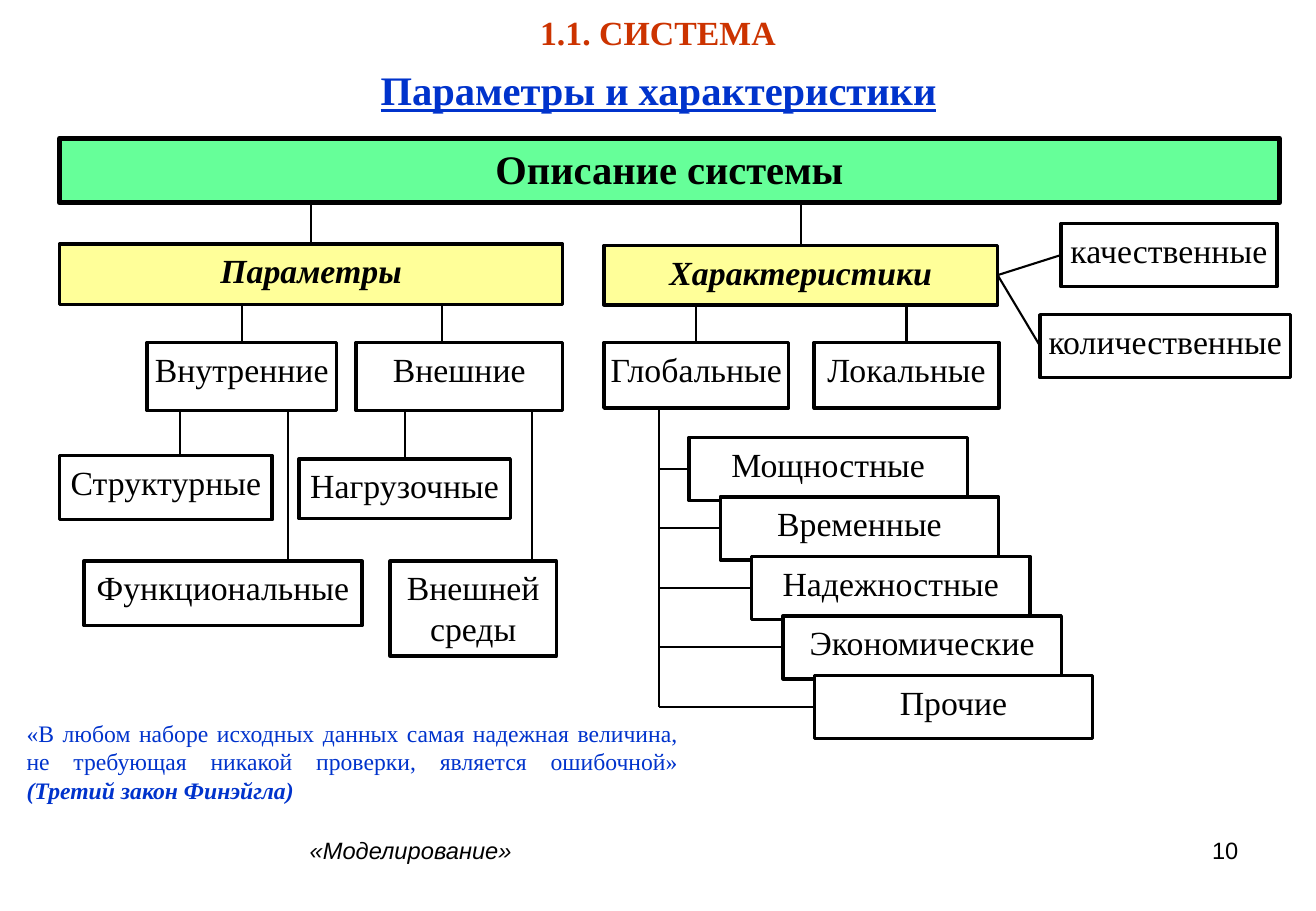
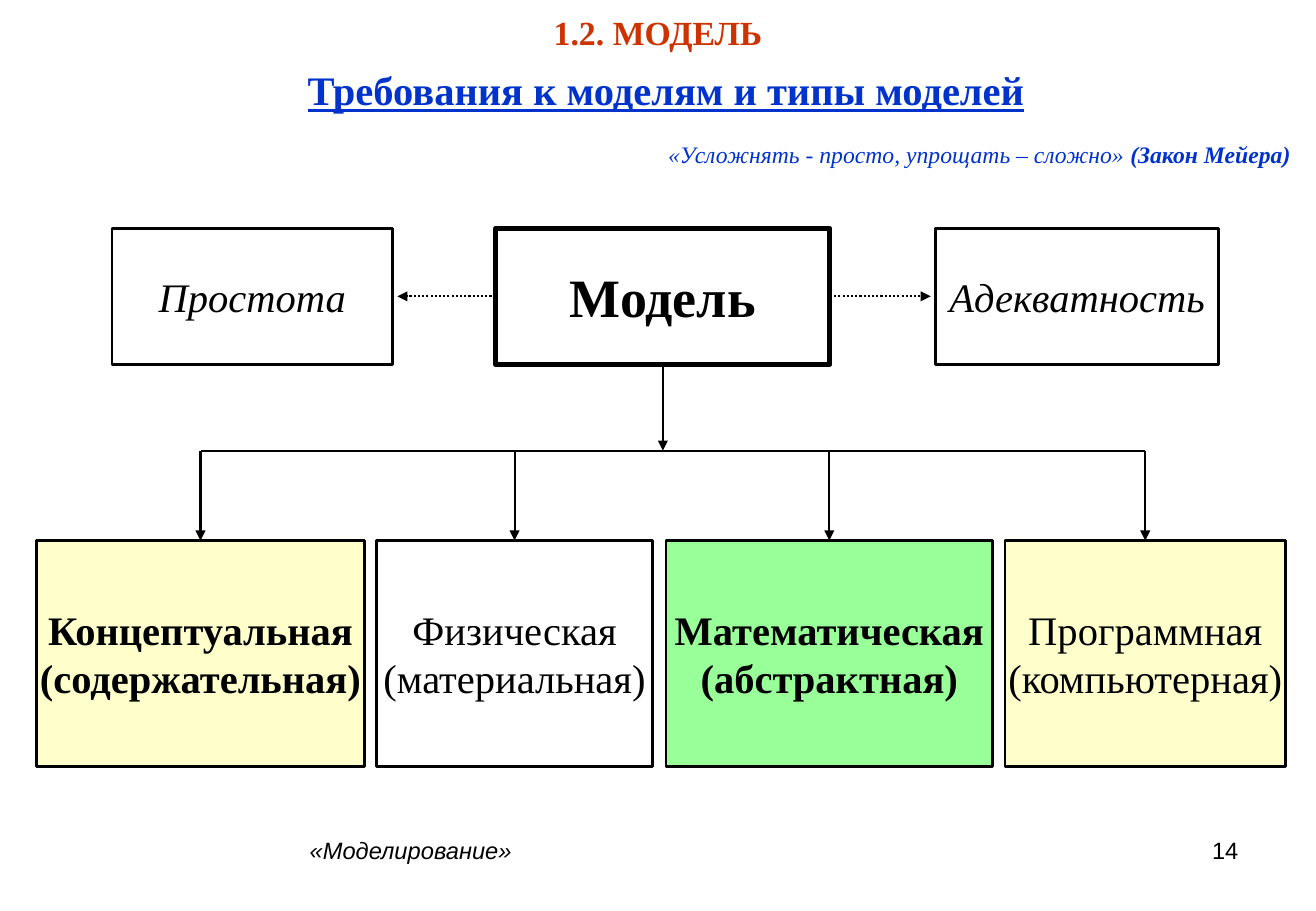
from lxml import etree
from pptx import Presentation, util as u
from pptx.dml.color import RGBColor
from pptx.enum import dml, shapes, text
from pptx.oxml import ns

# Grid: square cells, 108.3 columns by 75 rows
COLUMNS, ROWS = 108.3, 75
CELL = u.Inches(0.1)

BLACK = RGBColor(0x00, 0x00, 0x00)
WHITE = RGBColor(0xFF, 0xFF, 0xFF)
BLUE = RGBColor(0x00, 0x33, 0xCC)
RED = RGBColor(0xCC, 0x33, 0x00)
YELLOW = RGBColor(0xFF, 0xFF, 0x99)
CREAM = RGBColor(0xFF, 0xFF, 0xCC)
MINT = RGBColor(0x66, 0xFF, 0x99)
GREEN = RGBColor(0x99, 0xFF, 0x99)

SERIF, SANS = "Times New Roman", "Arial"
SITES = {"top": 0, "left": 1, "bottom": 2, "right": 3}
LEFT, CENTER = text.PP_ALIGN.LEFT, text.PP_ALIGN.CENTER
RIGHT, JUSTIFY = text.PP_ALIGN.RIGHT, text.PP_ALIGN.JUSTIFY
TOP, MIDDLE = text.MSO_ANCHOR.TOP, text.MSO_ANCHOR.MIDDLE


def cells(*counts):
    return [round(count * CELL) for count in counts]


def set_all(target, values):
    for name, value in values.items():
        setattr(target, name, value)


class Deck:
    """Holds the style and the current slide."""

    def __init__(self):
        self.deck = Presentation()
        self.deck.slide_width, self.deck.slide_height = cells(COLUMNS, ROWS)
        self.page = None

    def new_page(self, section, title, number, title_left=3):
        self.page = self.deck.slides.add_slide(self.deck.slide_layouts[6])
        self.label((2.1, 1.1, 104.1, 3.8), [(section, {"bold": True})],
                   CENTER, 20, RED, spacing=0.8)
        self.label((title_left, 4.9, 102.4, 5),
                   [(title, {"bold": True, "underline": True})],
                   CENTER, 24, BLUE)
        self.label((24.5, 68.3, 54.9, 5.2),
                   [("«Моделирование»", {"italic": True})], font=SANS)
        self.label((77.6, 68.3, 25.3, 5.2), [(number, {})], RIGHT, font=SANS)

    def add_spans(self, para, spans, size, color, font=SERIF):
        for words, style in spans:
            span = para.add_run()
            span.text = words
            set_all(span.font, {"name": font, "size": u.Pt(size), **style})
            span.font.color.rgb = color

    def label(self, area, spans, align=LEFT, size=14, color=BLACK,
              font=SERIF, spacing=1.0):
        frame = self.page.shapes.add_textbox(*cells(*area)).text_frame
        frame.word_wrap = True
        para = frame.paragraphs[0]
        set_all(para, {"alignment": align, "line_spacing": spacing})
        self.add_spans(para, spans, size, color, font)

    def box(self, words, area, fill=WHITE, size=20, border=2, anchor=TOP,
            **style):
        box = self.page.shapes.add_shape(
            shapes.MSO_SHAPE.RECTANGLE, *cells(*area))
        box.shadow.inherit = False
        box.fill.solid()
        box.fill.fore_color.rgb = fill
        box.line.color.rgb = BLACK
        box.line.width = u.Pt(border)
        frame = box.text_frame
        set_all(frame, {"word_wrap": True, "vertical_anchor": anchor,
                        "margin_left": 0, "margin_right": 0})
        for index, line in enumerate(words.split("\n")):
            para = frame.add_paragraph() if index else frame.paragraphs[0]
            para.alignment = CENTER
            self.add_spans(para, [(line, style)], size, BLACK)
        return box

    def point(self, end):
        """An end is (column, row) or (box, side name)."""
        if not isinstance(end[1], str):
            return [None if part is None else cells(part)[0] for part in end]
        box, side = end
        x, y = box.left + box.width // 2, box.top + box.height // 2
        return {"top": [x, box.top], "left": [box.left, y],
                "bottom": [x, box.top + box.height],
                "right": [box.left + box.width, y]}[side]

    def link(self, start, end, arrow=False, dotted=False):
        """Draw a line; None in an end takes the other end's value."""
        first, last = self.point(start), self.point(end)
        begin = [b if a is None else a for a, b in zip(first, last)]
        finish = [a if b is None else b for a, b in zip(first, last)]
        line = self.page.shapes.add_connector(
            shapes.MSO_CONNECTOR.STRAIGHT, *begin, *finish)
        for (box, side), join in ((start, line.begin_connect),
                                  (end, line.end_connect)):
            if isinstance(side, str):
                join(box, SITES[side])
        line.line.color.rgb = BLACK
        line.line.width = u.Pt(1.25)
        if dotted:
            line.line.dash_style = dml.MSO_LINE.ROUND_DOT
        outline = line._element.spPr.find(ns.qn("a:ln"))
        if arrow:
            etree.SubElement(outline, ns.qn("a:tailEnd"), type="triangle")
        etree.SubElement(line._element.spPr, ns.qn("a:effectLst"))


def system_page(deck):
    deck.new_page("1.1. СИСТЕМА", "Параметры и характеристики", "10")

    # Top levels
    heading = {"fill": YELLOW, "bold": True, "italic": True}
    deck.box("Описание системы", (4.9, 11.4, 100.4, 5.3), MINT, 24, 3,
             bold=True)
    parameters = deck.box("Параметры", (4.9, 20.1, 41.4, 5), **heading)
    features = deck.box("Характеристики", (49.7, 20.2, 32.4, 4.9), **heading)
    for branch in (parameters, features):
        deck.link((None, 16.7), (branch, "top"))

    # Parameters
    inner = deck.box("Внутренние", (12.1, 28.2, 15.6, 5.6))
    deck.box("Внешние", (29.3, 28.2, 17, 5.6))
    deck.box("Структурные", (4.9, 37.5, 17.5, 5.3))
    load = deck.box("Нагрузочные", (24.6, 37.8, 17.4, 4.9))
    deck.box("Функциональные", (6.9, 46.2, 22.9, 5.3))
    deck.box("Внешней\nсреды", (32.1, 46.2, 13.7, 7.8))
    deck.link((None, 33.8), (load, "top"))
    for column, top, bottom in ((36.4, 25.1, 28.2), (14.8, 33.8, 37.5),
                                (23.7, 33.8, 46.2), (43.8, 33.8, 46.2)):
        deck.link((column, top), (column, bottom))

    # Characteristics
    overall = deck.box("Глобальные", (49.7, 28.2, 15.2, 5.4))
    local = deck.box("Локальные", (67, 28.2, 15.2, 5.4))
    for child in (inner, overall, local):
        deck.link((None, 25.1), (child, "top"))
    for words, area in (("качественные", (87.3, 18.4, 17.8, 5.2)),
                        ("количественные", (85.6, 25.9, 20.6, 5.2))):
        deck.link((features, "right"), (deck.box(words, area), "left"))

    # Cascade of global characteristics
    trunk = 54.2
    deck.link((trunk, 33.6), (trunk, 58.2))
    for step, words in enumerate(("Мощностные", "Временные", "Надежностные",
                                  "Экономические", "Прочие")):
        kind = deck.box(words, (56.7 + 2.58 * step, 36 + 4.9 * step,
                                22.9, 5.2))
        deck.link((trunk, None), (kind, "left"))

    deck.label((1.2, 58.7, 55.6, 8.1),
               [("«В любом наборе исходных данных самая надежная величина, "
                 "не требующая никакой проверки, является ошибочной» ", {}),
                ("(Третий закон Финэйгла)", {"bold": True, "italic": True})],
               JUSTIFY, color=BLUE)


def model_page(deck):
    deck.new_page("1.2. МОДЕЛЬ", "Требования к моделям и типы моделей", "14",
                  title_left=3.6)
    deck.label((54, 11, 54.3, 3.4),
               [("«Усложнять - просто, упрощать – сложно» ",
                 {"italic": True}),
                ("(Закон Мейера)", {"bold": True, "italic": True})],
               JUSTIFY, color=BLUE)

    # Model and its requirements
    model = deck.box("Модель", (40.8, 18.8, 27.5, 11.2), size=32, border=3,
                     anchor=MIDDLE, bold=True)
    for words, left, width, side, tip in (
            ("Простота", 9.2, 23.1, "left", 32.7),
            ("Адекватность", 77, 23.3, "right", 76.6)):
        deck.box(words, (left, 18.8, width, 11.2), size=24, border=1.5,
                 anchor=MIDDLE, italic=True)
        deck.link((model, side), (tip, None), arrow=True, dotted=True)

    # Model types under a common bar
    bar = 37.1
    deck.link((model, "bottom"), (None, bar), arrow=True)
    deck.link((16.5, bar), (94.25, bar))
    for words, left, width, fill, bold in (
            ("Концептуальная (содержательная)", 3, 27, CREAM, True),
            ("Физическая (материальная)", 31, 22.7, WHITE, False),
            ("Математическая (абстрактная)", 54.8, 26.9, GREEN, True),
            ("Программная (компьютерная)", 82.7, 23.1, CREAM, False)):
        kind = deck.box(words, (left, 44.5, width, 18.6), fill, 24, 1.5,
                        MIDDLE, bold=bold)
        deck.link((None, bar), (kind, "top"), arrow=True)


def main():
    deck = Deck()
    system_page(deck)
    model_page(deck)
    deck.deck.save("out.pptx")


if __name__ == "__main__":
    main()
